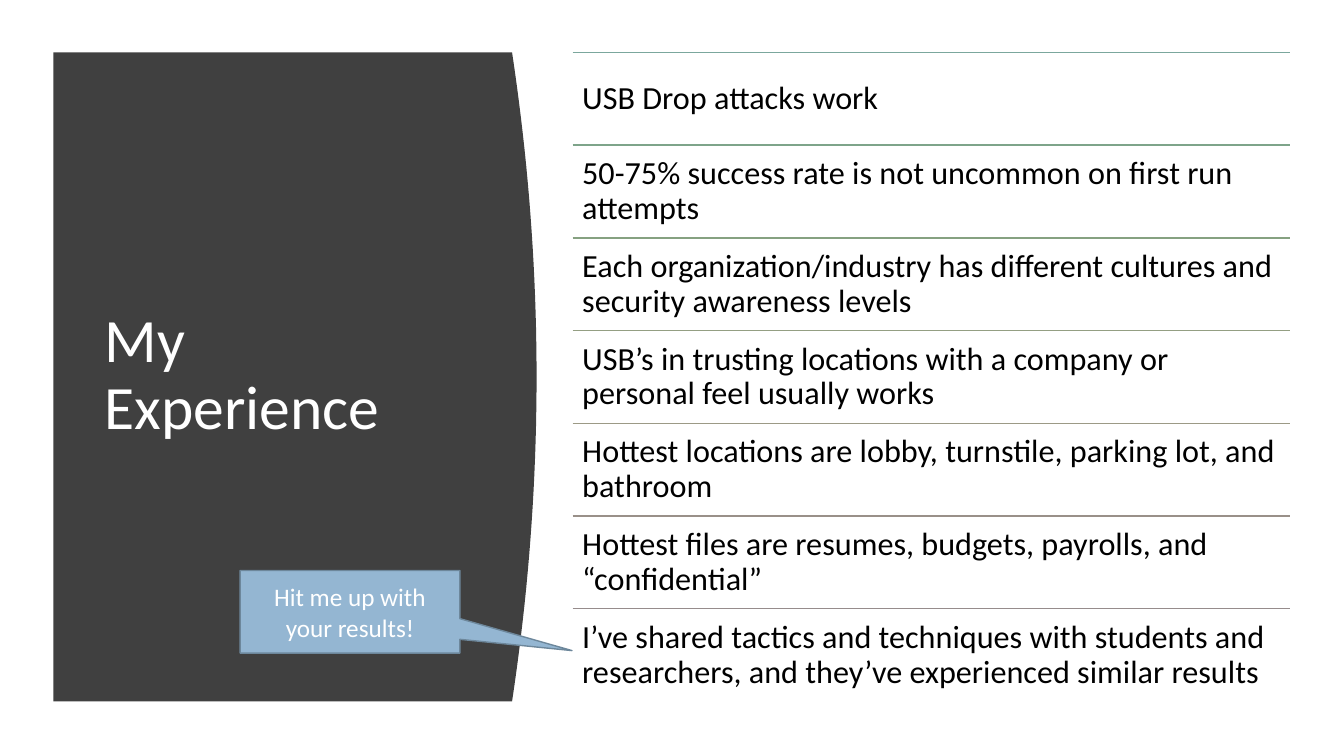
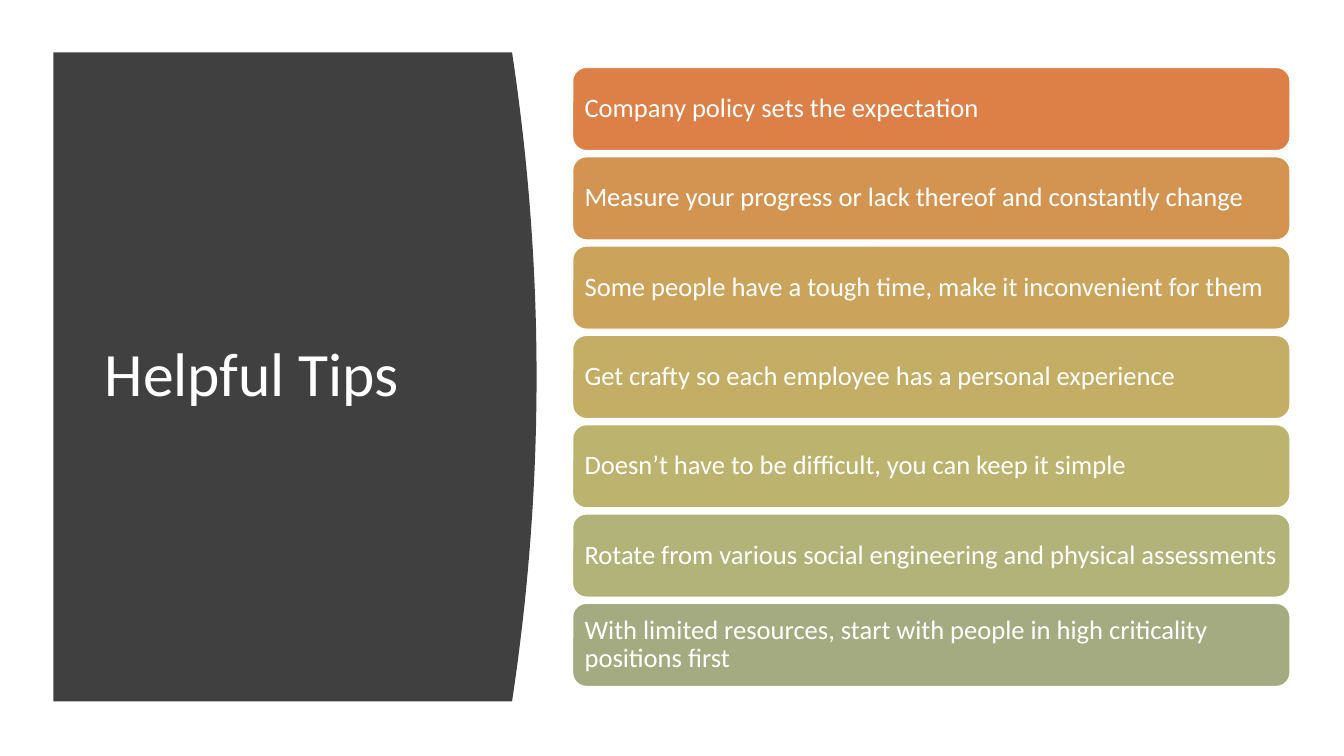
from lxml import etree
from pptx import Presentation
from pptx.dml.color import RGBColor
from pptx.enum.shapes import MSO_CONNECTOR, MSO_SHAPE
from pptx.enum.text import MSO_ANCHOR, PP_ALIGN
from pptx.oxml.ns import qn
from pptx.util import Pt

LINE = MSO_CONNECTOR.STRAIGHT
ROUND = MSO_SHAPE.ROUNDED_RECTANGLE
CALLOUT = MSO_SHAPE.RECTANGULAR_CALLOUT
MIDDLE = MSO_ANCHOR.MIDDLE
LEFT, CENTER = PP_ALIGN.LEFT, PP_ALIGN.CENTER

FONT = "Calibri"
WHITE, BLACK, DARK = "FFFFFF", "000000", "404040"
BLUE, STEEL = "94B6D2", "6D879B"

# The dark panel and the list column, in points
TOP, BOTTOM = 37.4, 501.1
SIDE, EDGE, BULGE = 38.2, 365.8, 17.5
COL, WIDE = 409, 512.5

FACTS = [
    ("USB Drop attacks work", "7BA79D"),
    ("50-75% success rate is not uncommon on first run attempts", "7EA48A"),
    ("Each organization/industry has different cultures and security "
     "awareness levels", "86A181"),
    ("USB’s in trusting locations with a company or personal feel "
     "usually works", "949F83"),
    ("Hottest locations are lobby, turnstile, parking lot, and bathroom",
     "9C9A86"),
    ("Hottest files are resumes, budgets, payrolls, and “confidential”",
     "999089"),
    ("I’ve shared tactics and techniques with students and researchers, "
     "and they’ve experienced similar results", "968C8C"),
]
TIPS = [
    ("Company policy sets the expectation", "DD8047"),
    ("Measure your progress or lack thereof and constantly change", "D49451"),
    ("Some people have a tough time, make it inconvenient for them",
     "CCA35B"),
    ("Get crafty so each employee has a personal experience", "C4AD64"),
    ("Doesn’t have to be difficult, you can keep it simple", "BBB36E"),
    ("Rotate from various social engineering and physical assessments",
     "B2B378"),
    ("With limited resources, start with people in high criticality "
     "positions first", "A5AB81"),
]


def color(code):
    return RGBColor.from_string(code)


def write(shape, text, size, ink=WHITE, align=LEFT, inset=None, lead=0.9):
    """Fill a shape with one vertically centred paragraph."""
    frame = shape.text_frame
    frame.word_wrap = True
    frame.vertical_anchor = MIDDLE
    if inset is not None:
        frame.margin_left = frame.margin_right = Pt(inset)
        frame.margin_top = frame.margin_bottom = Pt(inset)
    para = frame.paragraphs[0]
    para.alignment = align
    para.line_spacing = lead
    run = para.add_run()
    run.text = text
    run.font.name = FONT
    run.font.size = Pt(size)
    run.font.color.rgb = color(ink)


class Deck:
    def __init__(self):
        self.prs = Presentation()
        self.prs.slide_width, self.prs.slide_height = Pt(960), Pt(540)
        self.shapes = None

    def slide(self, title):
        page = self.prs.slides.add_slide(self.prs.slide_layouts[6])
        self.shapes = page.shapes
        self.panel()
        self.text(67.7, 80, 269.3, 377.2, title, size=44)

    def paint(self, shape, fill, line=None):
        shape.shadow.inherit = False
        shape.fill.solid()
        shape.fill.fore_color.rgb = color(fill)
        if line:
            shape.line.color.rgb = color(line)
            shape.line.width = Pt(1)
        else:
            shape.line.fill.background()

    def panel(self):
        """Draw the dark panel, its right side bowed as a parabola."""
        steps = 40
        arc = []
        for i in range(steps + 1):
            t = i / steps
            x = EDGE + BULGE * 4 * t * (1 - t)
            arc.append((Pt(x), Pt(TOP + (BOTTOM - TOP) * t)))
        path = self.shapes.build_freeform(Pt(SIDE), Pt(TOP))
        path.add_line_segments(arc + [(Pt(SIDE), Pt(BOTTOM))], close=True)
        self.paint(path.convert_to_shape(), DARK)

    def text(self, x, y, w, h, text, **style):
        box = self.shapes.add_textbox(Pt(x), Pt(y), Pt(w), Pt(h))
        write(box, text, **style)

    def rule(self, x, y, w, ink):
        line = self.shapes.add_connector(LINE, Pt(x), Pt(y), Pt(x + w), Pt(y))
        line.line.color.rgb = color(ink)
        line.line.width = Pt(1)
        etree.SubElement(line._element.spPr, qn("a:effectLst"))

    def shape(self, kind, x, y, w, h, text, fill, line, adjust=(), **style):
        item = self.shapes.add_shape(kind, Pt(x), Pt(y), Pt(w), Pt(h))
        for i, value in enumerate(adjust):
            item.adjustments[i] = value
        self.paint(item, fill, line)
        write(item, text, **style)

    def rows(self, items):
        """Stack ruled rows over the full height of the panel."""
        step = (BOTTOM - TOP) / len(items)
        for i, (text, ink) in enumerate(items):
            y = TOP + i * step
            self.rule(COL, y, WIDE, ink)
            self.text(COL, y, WIDE, step, text, size=23, ink=BLACK, inset=6.9)

    def cards(self, items):
        """Stack rounded cards, centred on the height of the panel."""
        high, gap = 59.5, 4.3
        step = high + gap
        top = (TOP + BOTTOM - len(items) * step + gap) / 2
        for i, (text, fill) in enumerate(items):
            self.shape(ROUND, COL, top + i * step, WIDE, high, text, fill,
                       WHITE, size=19, inset=5.7)


def main():
    deck = Deck()
    deck.slide("My Experience")
    deck.rows(FACTS)
    deck.shape(CALLOUT, 171.5, 407.5, 157, 59, "Hit me up with your results!",
               BLUE, STEEL, adjust=(1.01, 0.47), size=18, align=CENTER, lead=1)
    deck.slide("Helpful Tips")
    deck.cards(TIPS)
    deck.prs.save("out.pptx")


if __name__ == "__main__":
    main()
